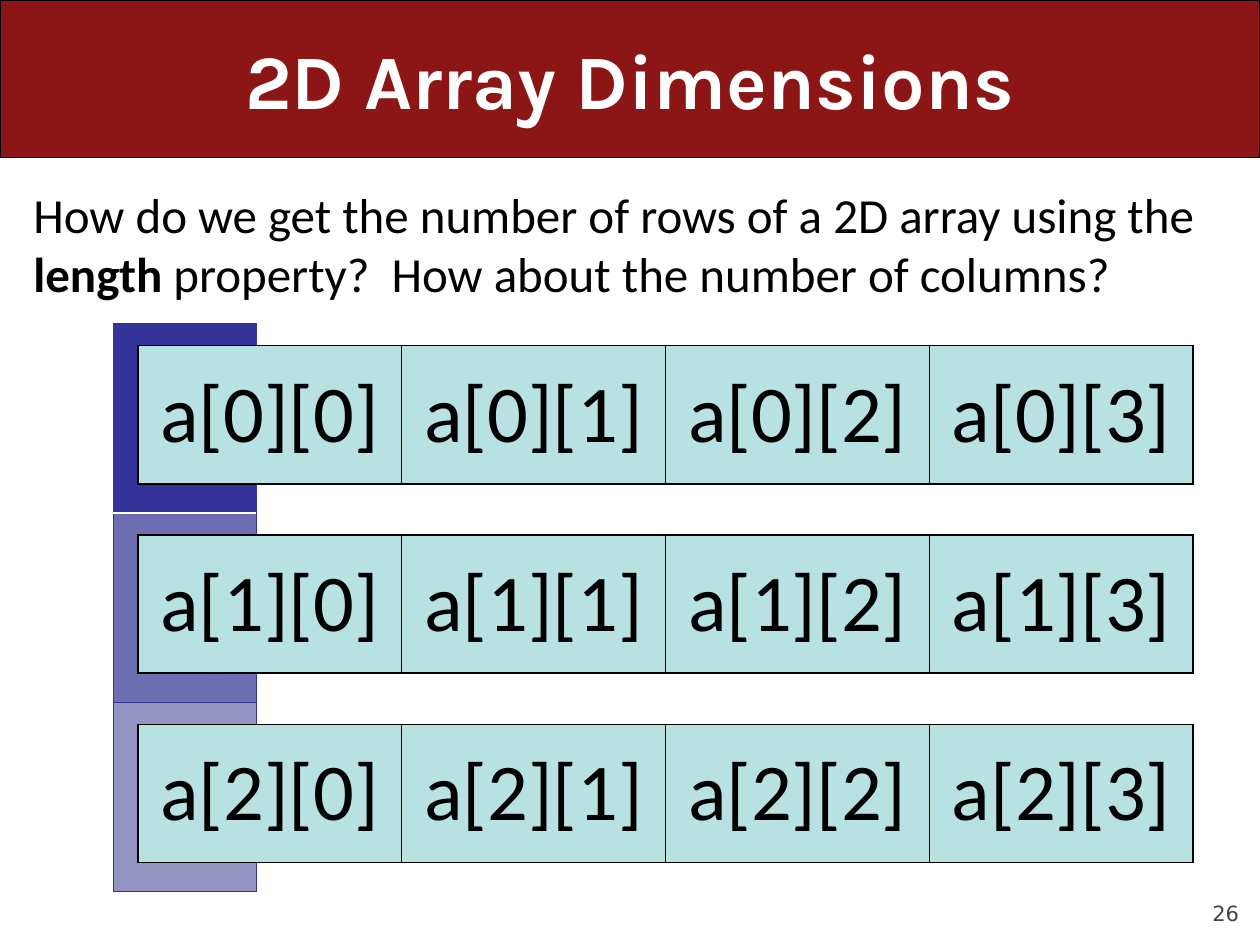
from lxml import etree
from pptx import Presentation
from pptx.dml.color import RGBColor
from pptx.enum import shapes, text
from pptx.oxml.ns import qn
from pptx.util import Pt

BLACK = RGBColor(0x00, 0x00, 0x00)
WHITE = RGBColor(0xFF, 0xFF, 0xFF)
CARDINAL = RGBColor(0x8C, 0x15, 0x15)
GRAY = RGBColor(0x42, 0x42, 0x42)
INDIGO = RGBColor(0x33, 0x33, 0x99)
MID_INDIGO = RGBColor(0x6D, 0x6D, 0xB2)
PALE_INDIGO = RGBColor(0x94, 0x94, 0xC3)
AQUA = RGBColor(0xB8, 0xE1, 0xE2)
ROWS, COLUMNS = 3, 4


def set_font(paragraph, name, size, color, bold=False):
    """Set the font shared by all runs of a paragraph."""
    font = paragraph.font
    font.name, font.size, font.bold = name, Pt(size), bold
    font.color.rgb = color


def set_borders(cell, color, width, **overrides):
    """Draw the four borders of a cell; overrides map a side to (color, width)."""
    properties = cell._tc.get_or_add_tcPr()
    for side in "LRTB":
        side_color, side_width = overrides.get(side, (color, width))
        line = etree.SubElement(properties, qn(f"a:ln{side}"), w=str(Pt(side_width)))
        fill = etree.SubElement(line, qn("a:solidFill"))
        etree.SubElement(fill, qn("a:srgbClr"), val=str(side_color))


def fill_cell(cell, color):
    """Give a cell a solid fill."""
    cell.fill.solid()
    cell.fill.fore_color.rgb = color


def add_plain_table(slide, rows, columns, left, top, width, height):
    """Add a table without header or banding."""
    table = slide.shapes.add_table(
        rows, columns, Pt(left), Pt(top), Pt(width), Pt(height)).table
    table.first_row = table.horz_banding = False
    return table


def add_text(slide, left, top, width, height, anchor):
    """Add a wrapping text box and return its frame."""
    frame = slide.shapes.add_textbox(
        Pt(left), Pt(top), Pt(width), Pt(height)).text_frame
    frame.word_wrap = True
    frame.vertical_anchor = anchor
    return frame


def add_title(slide, left, top, width, height):
    """Add the title band with its centred heading."""
    band = slide.shapes.add_shape(
        shapes.MSO_SHAPE.RECTANGLE, Pt(left), Pt(top), Pt(width), Pt(height))
    band.shadow.inherit = False
    band.fill.solid()
    band.fill.fore_color.rgb = CARDINAL
    band.line.color.rgb = BLACK
    band.line.width = Pt(0.75)
    frame = add_text(slide, left + 36, top, width - 72, height, text.MSO_ANCHOR.MIDDLE)
    paragraph = frame.paragraphs[0]
    paragraph.text = "2D Array Dimensions"
    paragraph.alignment = text.PP_ALIGN.CENTER
    set_font(paragraph, "Karla", 44, WHITE, bold=True)


def add_question(slide, left, top, width, height):
    """Add the question with its bold property name."""
    paragraph = add_text(
        slide, left, top, width, height, text.MSO_ANCHOR.TOP).paragraphs[0]
    set_font(paragraph, "Calibri", 28, BLACK)
    for words, bold in (
            ("How do we get the number of rows of a 2D array using the ", False),
            ("length", True),
            (" property?  How about the number of columns?", False)):
        run = paragraph.add_run()
        run.text = words
        run.font.bold = bold


def add_outer_array(slide, left, top, width, height):
    """Add the column of blue cells that holds the rows."""
    table = add_plain_table(slide, ROWS, 1, left, top, width, height)
    divider = (WHITE, 1)
    overrides = ({"B": divider}, {"T": divider}, {})
    for row, color in enumerate((INDIGO, MID_INDIGO, PALE_INDIGO)):
        cell = table.cell(row, 0)
        set_borders(cell, INDIGO, 0.5, **overrides[row])
        fill_cell(cell, color)


def add_inner_array(slide, row, left, top, width, height):
    """Add one array row with its element names."""
    table = add_plain_table(slide, 1, COLUMNS, left, top, width, height)
    for column in range(COLUMNS):
        cell = table.cell(0, column)
        set_borders(cell, BLACK, 1)
        fill_cell(cell, AQUA)
        cell.vertical_anchor = text.MSO_ANCHOR.MIDDLE
        paragraph = cell.text_frame.paragraphs[0]
        paragraph.text = f"a[{row}][{column}]"
        paragraph.alignment = text.PP_ALIGN.CENTER
        set_font(paragraph, "Calibri", 46, BLACK)


def add_array(slide, left, top, width, height):
    """Add the 2D array: the outer column with its rows laid over it."""
    add_outer_array(slide, left, top, 81.5, height)
    pitch = height / ROWS
    for row in range(ROWS):
        add_inner_array(
            slide, row, left + 14, top + 12.5 + row * pitch, width - 14, 79)


def add_page_number(slide, left, top, width, height):
    """Add the slide number in the lower right corner."""
    frame = add_text(slide, left, top, width, height, text.MSO_ANCHOR.BOTTOM)
    frame.margin_left = frame.margin_right = 0
    frame.margin_top = frame.margin_bottom = 0
    paragraph = frame.paragraphs[0]
    paragraph.text = "26"
    paragraph.alignment = text.PP_ALIGN.RIGHT
    set_font(paragraph, "DejaVu Sans", 12, GRAY)


def main():
    """Build the slide and save it."""
    presentation = Presentation()
    presentation.slide_width, presentation.slide_height = Pt(720), Pt(540)
    slide = presentation.slides.add_slide(presentation.slide_layouts[6])
    add_page_number(slide, 648, 500.5, 60, 28.5)
    add_title(slide, 0, 0, 720, 90)
    add_question(slide, 12, 102, 696, 408)
    add_array(slide, 64.8, 185, 617, 324.6)
    presentation.save("out.pptx")


if __name__ == "__main__":
    main()
